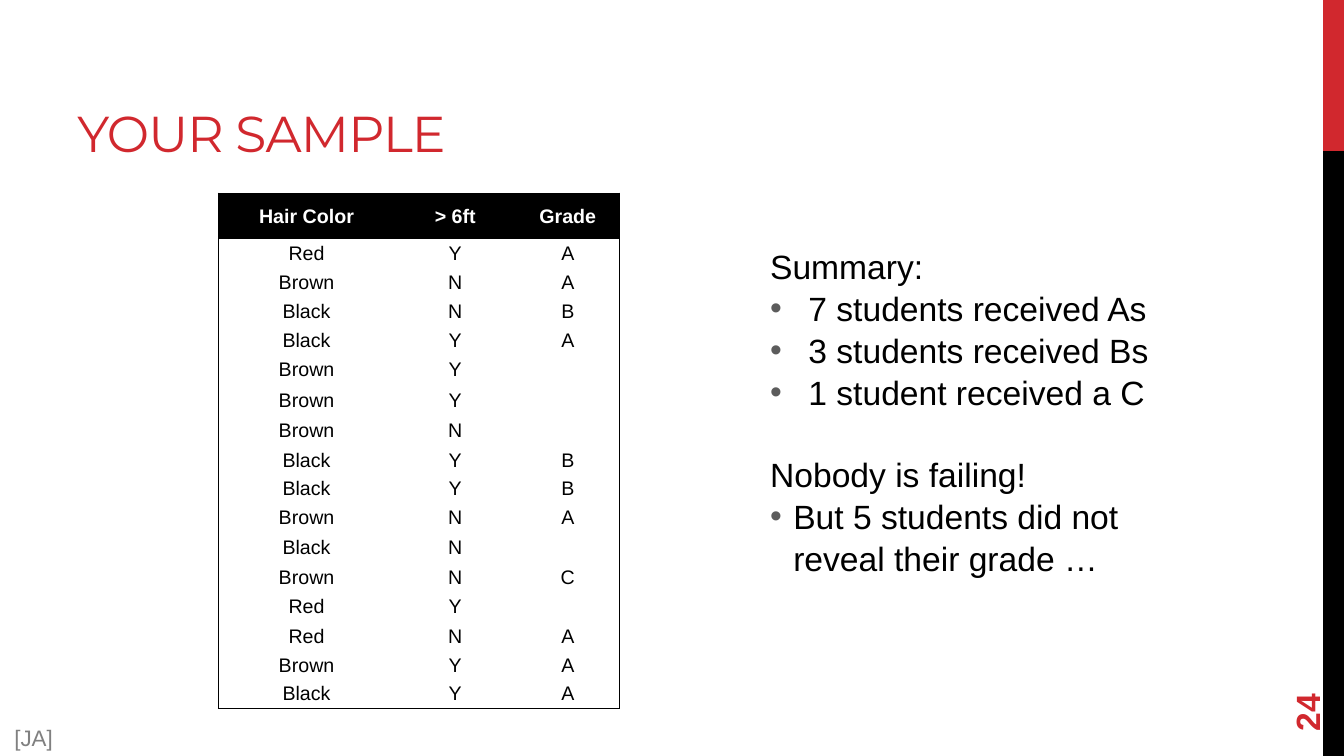
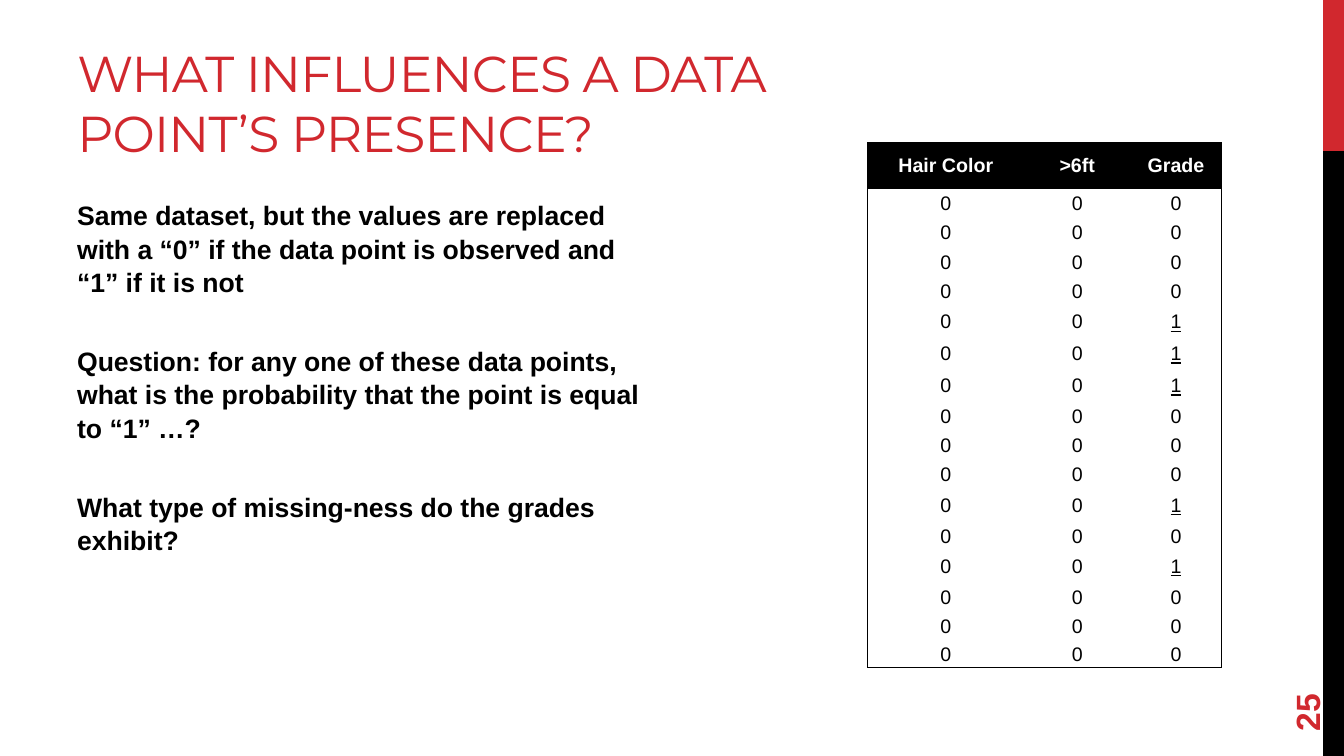
from lxml import etree
from pptx import Presentation
from pptx.dml.color import RGBColor
from pptx.enum.shapes import MSO_SHAPE
from pptx.enum.text import MSO_ANCHOR, MSO_AUTO_SIZE, PP_ALIGN
from pptx.oxml.ns import qn
from pptx.util import Inches, Pt

RED = RGBColor(0xD1, 0x28, 0x2E)
BLACK = RGBColor(0, 0, 0)
WHITE = RGBColor(0xFF, 0xFF, 0xFF)
GRAY = RGBColor(0x80, 0x80, 0x80)
BULLET_GRAY = "5C5C5C"
LEFT, CENTER = PP_ALIGN.LEFT, PP_ALIGN.CENTER
TOP, MIDDLE, BOTTOM = MSO_ANCHOR.TOP, MSO_ANCHOR.MIDDLE, MSO_ANCHOR.BOTTOM
RECT = MSO_SHAPE.RECTANGLE
NO_AUTOFIT = MSO_AUTO_SIZE.NONE
NO_TABLE_STYLE = "{2D5ABB26-0587-4C30-8999-92F81FD0307C}"

prs = Presentation()
prs.slide_width, prs.slide_height = Inches(13.33), Inches(7.5)
COL, ROW = prs.slide_width / 80, prs.slide_height / 45
TITLE_BOX = (4, 1, 50.65, 9)
HEADER_H, TALL_H = 2.75, 1.9

# Text formats
TITLE = dict(name="Montserrat", size=Pt(36), bold=False)
SUMMARY = dict(name="Arial", size=Pt(24), bold=False)
QUESTION = dict(name="Arial", size=Pt(19), bold=True)
NUMBER = dict(name="Arial", size=Pt(24), bold=True)
INITIALS = dict(name="Arial", size=Pt(16), bold=False)
HEADER = dict(name="Arial", size=Pt(14), bold=True)
CELL = dict(name="Arial", size=Pt(14), bold=False)


def grid(left, top, width, height):
    """Turn columns and rows of the slide grid into lengths."""
    return int(left * COL), int(top * ROW), int(width * COL), int(height * ROW)


def write(p, text, fmt, color, align=LEFT):
    """Put one formatted run into a paragraph."""
    p.alignment = align
    r = p.add_run()
    r.text = text
    for name, value in fmt.items():
        setattr(r.font, name, value)
    r.font.color.rgb = color
    return r


# Content
grades = [row.split(",") for row in (
    "Red,Y,A", "Brown,N,A", "Black,N,B", "Black,Y,A", "Brown,Y,", "Brown,Y,",
    "Brown,N,", "Black,Y,B", "Black,Y,B", "Brown,N,A", "Black,N,", "Brown,N,C",
    "Red,Y,", "Red,N,A", "Brown,Y,A", "Black,Y,A")]
missing = [["0" if value else "1" for value in row] for row in grades]

# Paragraphs: text, indent in inches (0 for no bullet), space before in points
summary = [
    ("Summary:", 0, 0),
    ("7 students received As", 0.38, 0),
    ("3 students received Bs", 0.38, 0),
    ("1 student received a C", 0.38, 0),
    ("Nobody is failing!", 0, 28.7),
    ("But 5 students did not reveal their grade …", 0.23, 0),
]
questions = [
    ("Same dataset, but the values are replaced with a “0” if the data point "
     "is observed and “1” if it is not", 0, 0),
    ("Question: for any one of these data points, what is the probability "
     "that the point is equal to “1” …?", 0, 27),
    ("What type of missing-ness do the grades exhibit?", 0, 27),
]

slides = [
    dict(title="YOUR SAMPLE", number="24", initials="[JA]",
         text=summary, text_box=(45.25, 14.25, 27.5, 20), fmt=SUMMARY, after=0,
         header=["Hair Color", "> 6ft", "Grade"], rows=grades,
         table_box=(13, 11.5, 23.9, 30.3), widths=(10.5, 7.2, 6.2), last_h=None),
    dict(title="WHAT INFLUENCES A DATA POINT’S PRESENCE?", number="25", initials="",
         text=questions, text_box=(4, 11.5, 35.7, 28.7), fmt=QUESTION, after=6,
         header=["Hair Color", ">6ft", "Grade"], rows=missing,
         table_box=(51.65, 8.5, 21.05, 31.25), widths=(9.3, 6.35, 5.4), last_h=1.55),
]

for content in slides:
    s = prs.slides.add_slide(prs.slide_layouts[5])

    # Bands on the right edge
    for top, height, color in ((0, 9, RED), (9, 36, BLACK)):
        band = s.shapes.add_shape(RECT, *grid(78.75, top, 1.25, height))
        band.shadow.inherit = False
        band.fill.solid()
        band.fill.fore_color.rgb = color
        band.line.fill.background()

    # Title
    title = s.shapes.title
    title.left, title.top, title.width, title.height = grid(*TITLE_BOX)
    tf = title.text_frame
    tf.auto_size, tf.vertical_anchor, tf.word_wrap = NO_AUTOFIT, BOTTOM, True
    r = write(tf.paragraphs[0], content["title"], TITLE, RED)
    r.font._element.set("spc", "-60")

    # Running text
    tf = s.shapes.add_textbox(*grid(*content["text_box"])).text_frame
    tf.word_wrap = True
    for i, (text, indent, before) in enumerate(content["text"]):
        p = tf.add_paragraph() if i else tf.paragraphs[0]
        p.line_spacing = 1.04
        p.space_before, p.space_after = Pt(before), Pt(content["after"])
        if indent:
            pPr = p._p.get_or_add_pPr()
            pPr.set("marL", str(Inches(indent)))
            pPr.set("indent", str(-Inches(indent)))
            bullet_color = etree.SubElement(pPr, qn("a:buClr"))
            etree.SubElement(bullet_color, qn("a:srgbClr"), val=BULLET_GRAY)
            etree.SubElement(pPr, qn("a:buFont"), typeface="Arial")
            etree.SubElement(pPr, qn("a:buChar"), char="•")
        write(p, text, content["fmt"], BLACK)

    # Table: rows with a missing value are taller on the 0/1 table
    rows = [content["header"]] + content["rows"]
    last_row, last_col = len(rows) - 1, len(content["widths"]) - 1
    fixed = {i: TALL_H for i, row in enumerate(rows) if "1" in row}
    fixed[0] = HEADER_H
    if content["last_h"]:
        fixed[last_row] = content["last_h"]
    table_h = content["table_box"][3]
    normal_h = (table_h - sum(fixed.values())) / (len(rows) - len(fixed))

    frame = s.shapes.add_table(len(rows), last_col + 1, *grid(*content["table_box"]))
    table = frame.table
    table.first_row = table.horz_banding = False
    table._tbl.tblPr.find(qn("a:tableStyleId")).text = NO_TABLE_STYLE
    for column, width in zip(table.columns, content["widths"]):
        column.width = int(width * COL)
    for i, row in enumerate(rows):
        table.rows[i].height = int(fixed.get(i, normal_h) * ROW)
        for j, value in enumerate(row):
            cell = table.cell(i, j)
            cell.vertical_anchor = MIDDLE
            for side in ("left", "right", "top", "bottom"):
                setattr(cell, f"margin_{side}", 0)
            # Only the outer edges carry a line
            edges = (("a:lnL", j == 0), ("a:lnR", j == last_col),
                     ("a:lnT", i == 0), ("a:lnB", i == last_row))
            for tag, outer in edges:
                if outer:
                    ln = etree.SubElement(cell._tc.get_or_add_tcPr(), qn(tag), w="12700")
                    fill = etree.SubElement(ln, qn("a:solidFill"))
                    etree.SubElement(fill, qn("a:srgbClr"), val=str(BLACK))
            if i == 0:
                cell.fill.solid()
                cell.fill.fore_color.rgb = BLACK
            else:
                cell.fill.background()
            fmt, color = (CELL, BLACK) if i else (HEADER, WHITE)
            r = write(cell.text_frame.paragraphs[0], value, fmt, color, CENTER)
            if value == "1":
                r.font.underline = True

    # Slide number and initials
    labels = [(content["number"], (73.45, 38.2, 8.65, 3.2), NUMBER, RED, LEFT, MIDDLE, 270),
              (content["initials"], (0, 42.8, 4, 2.2), INITIALS, GRAY, CENTER, TOP, 0)]
    for text, box, fmt, color, align, anchor, rotation in labels:
        if text:
            sp = s.shapes.add_textbox(*grid(*box))
            sp.rotation = rotation
            tf = sp.text_frame
            tf.word_wrap, tf.vertical_anchor = True, anchor
            write(tf.paragraphs[0], text, fmt, color, align)

prs.save("out.pptx")
